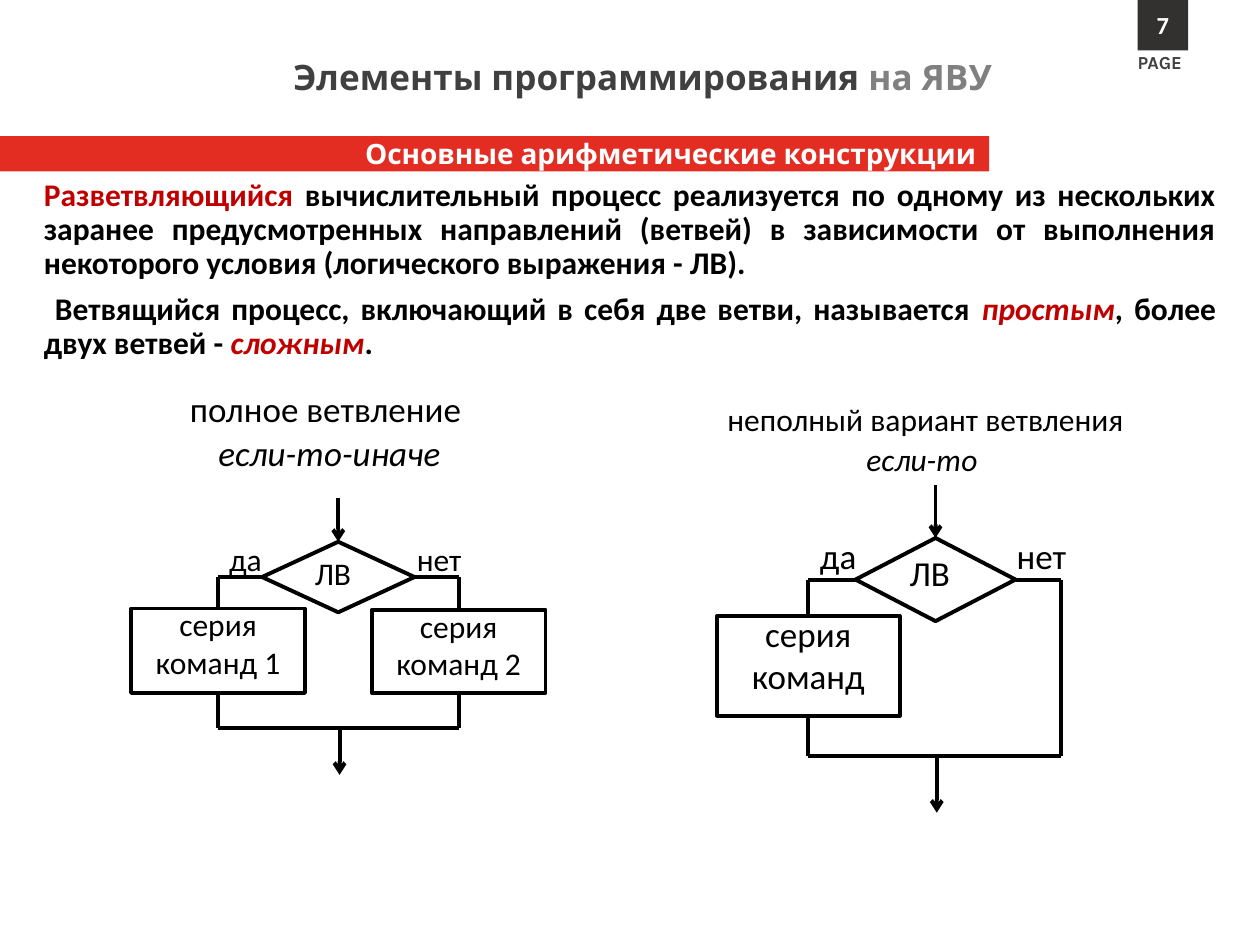
"""Build a slide that compares full and partial branching flowcharts."""
from lxml.etree import SubElement
from pptx import Presentation
from pptx.dml.color import RGBColor
from pptx.enum.shapes import MSO_CONNECTOR, MSO_SHAPE
from pptx.enum.text import MSO_ANCHOR, PP_ALIGN
from pptx.oxml.ns import qn
from pptx.util import Inches, Pt

THEME = {
    "ink": RGBColor.from_string("000000"), "paper": RGBColor.from_string("FFFFFF"),
    "red": RGBColor.from_string("E32C22"), "accent": RGBColor.from_string("C00000"),
    "dark": RGBColor.from_string("404040"), "grey": RGBColor.from_string("808080"),
    "badge": RGBColor.from_string("333030"),
    "head": "Karla", "body": "Calibri", "stroke": Pt(2.25),
    "title": 20, "band": 16, "text": 18, "large": 20, "number": 14, "caption": 10.5,
}
LEFT, CENTER, RIGHT, JUSTIFY = PP_ALIGN.LEFT, PP_ALIGN.CENTER, PP_ALIGN.RIGHT, PP_ALIGN.JUSTIFY

deck = Presentation()
deck.slide_width, deck.slide_height = Inches(10), Inches(7.5)
COLUMN, ROW = deck.slide_width / 100, deck.slide_height / 75
page = deck.slides.add_slide(deck.slide_layouts[6])


def add_box(shapes, area, paragraphs=(), size=18, align=LEFT, font="body", bold=False,
            spacing=None, before=0, preset=None, fill=None, outline=False, wrap=True):
    """Add a text box or preset shape; each paragraph is a list of (text, colour, italic)."""
    left, top, width, height = area
    place = [round(v) for v in (left * COLUMN, top * ROW, width * COLUMN, height * ROW)]
    if preset is None:
        box = shapes.add_textbox(*place)
    else:
        box = shapes.add_shape(preset, *place)
        box.shadow.inherit = False
        box.fill.solid()
        box.fill.fore_color.rgb = THEME[fill]
        if outline:
            box.line.color.rgb, box.line.width = THEME["ink"], THEME["stroke"]
        else:
            box.line.fill.background()
    frame = box.text_frame
    frame.word_wrap = wrap
    frame.vertical_anchor = MSO_ANCHOR.MIDDLE if preset else MSO_ANCHOR.TOP
    for index, spans in enumerate(paragraphs):
        para = frame.add_paragraph() if index else frame.paragraphs[0]
        para.alignment = align
        if spacing:
            para.line_spacing = spacing
        if index and before:
            para.space_before = Pt(round(before * size, 1))
        for text, color, italic in spans:
            span = para.add_run()
            span.text = text
            span.font.name, span.font.size = THEME[font], Pt(size)
            span.font.bold, span.font.italic = bold, italic
            span.font.color.rgb = THEME[color]
    return box


def add_line(shapes, start, end, source=None, target=None, arrow=False):
    """Draw a straight line; source and target are (shape, side) joins."""
    line = shapes.add_connector(
        MSO_CONNECTOR.STRAIGHT, round(start[0] * COLUMN), round(start[1] * ROW),
        round(end[0] * COLUMN), round(end[1] * ROW))
    line.line.color.rgb, line.line.width = THEME["ink"], THEME["stroke"]
    if arrow:
        SubElement(line.line._get_or_add_ln(), qn("a:tailEnd"), type="arrow")
    SubElement(line._element.spPr, qn("a:effectLst"))
    if source:
        line.begin_connect(*source)
    if target:
        line.end_connect(*target)


add_box(page.shapes, (0, 10.8, 78.5, 2.8), [[("Основные арифметические конструкции", "paper", False)]],
        THEME["band"], RIGHT, "head", True, preset=MSO_SHAPE.RECTANGLE, fill="red")
add_box(page.shapes, (89.3, 3.6, 5.9, 2.8), [[("PAGE", "dark", False)]],
        THEME["caption"], LEFT, "head", True, wrap=False)
add_box(page.shapes, (90.3, 0, 4, 4), [[("7", "paper", False)]],
        THEME["number"], CENTER, "body", True, preset=MSO_SHAPE.RECTANGLE, fill="badge")
add_box(page.shapes, (1.5, 3.9, 78.2, 4.4),
        [[("Элементы программирования ", "dark", False), ("на ЯВУ", "grey", False)]],
        THEME["title"], RIGHT, "head", True)
add_box(page.shapes, (2.5, 13.7, 95, 15.9), [
    [("Разветвляющийся", "accent", False),
     (" вычислительный процесс реализуется по одному из нескольких заранее предусмотренных "
      "направлений (ветвей) в зависимости от выполнения некоторого условия "
      "(логического выражения - ЛВ). ", "ink", False)],
    [(" Ветвящийся процесс, включающий в себя две ветви, называется ", "ink", False),
     ("простым", "accent", True), (", более двух ветвей - ", "ink", False),
     ("сложным", "accent", True), (". ", "ink", False)],
], THEME["text"], JUSTIFY, bold=True, spacing=0.9, before=0.4)

headings = [
    ((8.4, 30.6, 35.5, 10.2), "полное ветвление ", "если-то-иначе", THEME["large"]),
    ((50, 31.6, 46.9, 7.9), "неполный вариант ветвления", "если-то ", THEME["text"]),
]
for area, name, form, size in headings:
    add_box(page.shapes, area, [[(name, "ink", False)], [(form, "ink", True)]],
            size, CENTER, spacing=0.9, before=0.2)

flowcharts = [
    {"size": THEME["text"], "diamond": (20.8, 43, 12.1, 5.6), "start": 39.5, "join": 57.8, "end": 61.5,
     "boxes": [((10.4, 48.3, 13.8, 6.7), "команд 1"), ((29.5, 48.4, 13.8, 6.6), "команд 2")],
     "corners": (17.3, 36.4),
     "labels": [("ЛВ", (24, 43.5, 6.2, 4)), ("да", (17.2, 42.4, 5.2, 2.9)),
                ("нет", (32.1, 42.4, 6.3, 2.9))]},
    {"size": THEME["large"], "diamond": (67.9, 42.7, 12.7, 6.6), "start": 38.5, "join": 60, "end": 64.5,
     "boxes": [((56.9, 48.9, 14.5, 7.9), "команд")],
     "corners": (64.15, 84.2),
     "labels": [("ЛВ", (71.2, 43.3, 6.5, 4.8)), ("да", (64.1, 41.9, 5.4, 3.4)),
                ("нет", (79.7, 41.9, 6.6, 3.4))]},
]
for chart in flowcharts:
    shapes = page.shapes.add_group_shape().shapes
    left, top, width, height = chart["diamond"]
    middle, level, join = left + width / 2, top + height / 2, chart["join"]
    condition = add_box(shapes, chart["diamond"], preset=MSO_SHAPE.DIAMOND, fill="paper", outline=True)
    add_line(shapes, (middle, chart["start"]), (middle, top), target=(condition, 0), arrow=True)

    steps = []
    for area, command in chart["boxes"]:
        steps.append(add_box(shapes, area, preset=MSO_SHAPE.RECTANGLE, fill="paper", outline=True))
        add_box(shapes, (area[0], area[1] - 0.75, area[2], area[3] + 0.8),
                [[("серия", "ink", False)], [(command, "ink", False)]], chart["size"], CENTER)
    for text, area in chart["labels"]:
        add_box(shapes, area, [[(text, "ink", False)]], chart["size"])

    for index, (corner, tip, side) in enumerate(zip(chart["corners"], (left, left + width), (1, 3))):
        add_line(shapes, (tip, level), (corner, level), source=(condition, side))
        if index < len(steps):
            x, y, w, h = chart["boxes"][index][0]
            add_line(shapes, (corner, level), (x + w / 2, y), target=(steps[index], 0))
            add_line(shapes, (x + w / 2, y + h), (corner, join), source=(steps[index], 2))
        else:
            add_line(shapes, (corner, level), (corner, join))
    add_line(shapes, (chart["corners"][0], join), (chart["corners"][1], join))
    add_line(shapes, (middle + 0.1, join), (middle + 0.1, chart["end"]), arrow=True)

deck.save("out.pptx")
